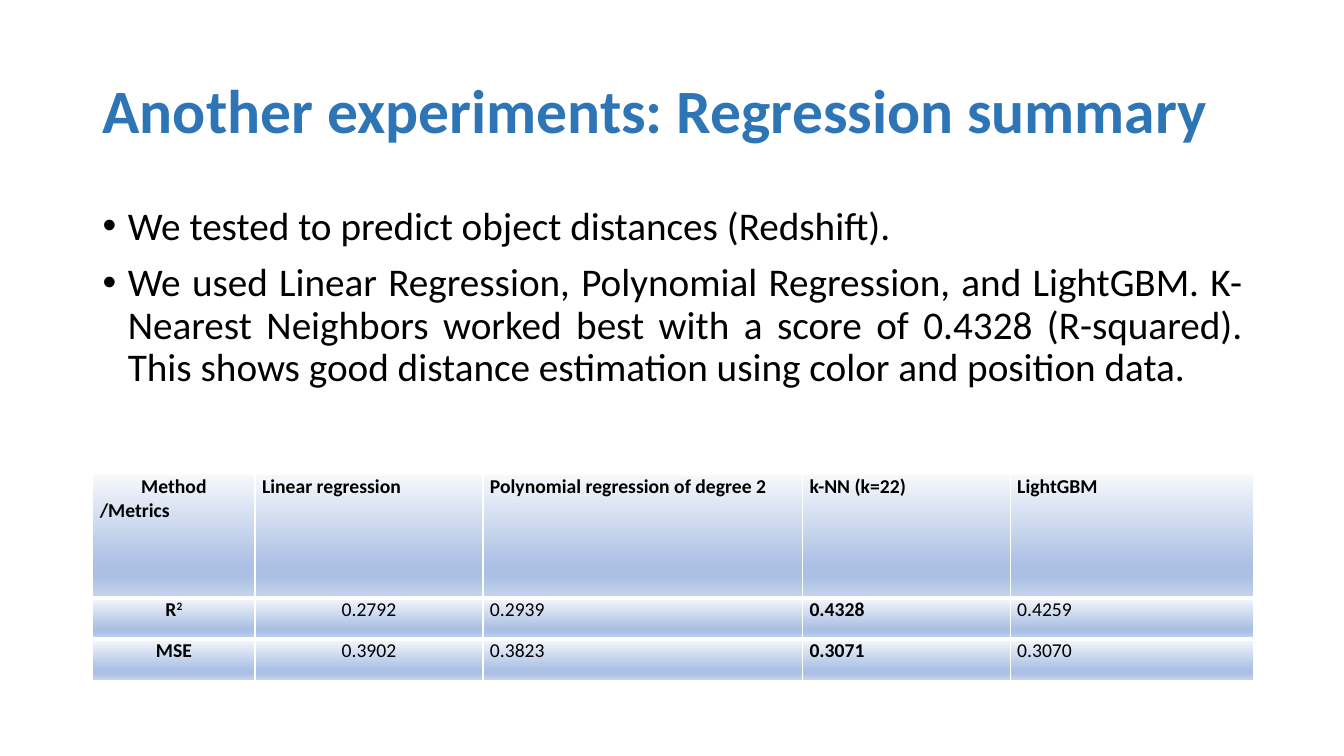
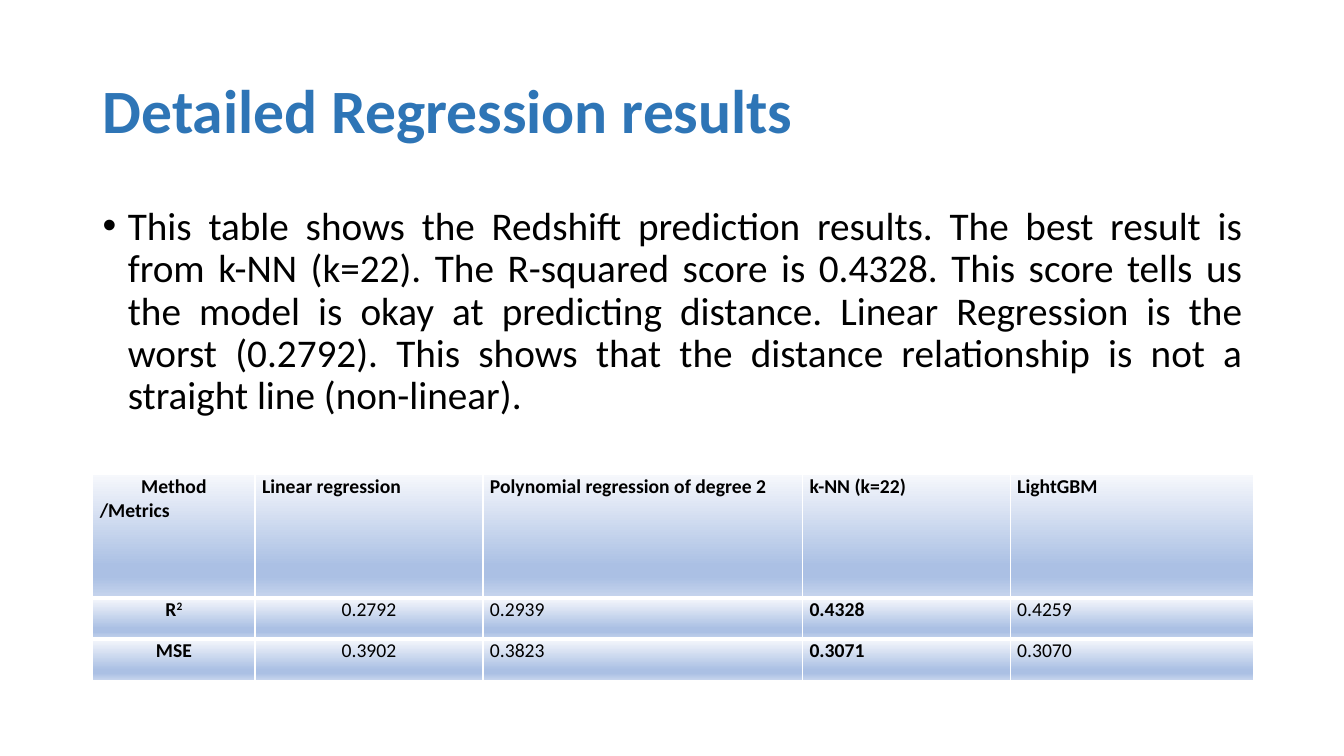
from lxml import etree
from pptx import Presentation
from pptx.dml.color import RGBColor
from pptx.enum.text import MSO_ANCHOR, PP_ALIGN
from pptx.oxml.ns import qn
from pptx.util import Inches, Pt

LEFT, CENTER, JUSTIFY = PP_ALIGN.LEFT, PP_ALIGN.CENTER, PP_ALIGN.JUSTIFY
MIDDLE = MSO_ANCHOR.MIDDLE

# Shared style
FONT = "Calibri"
TITLE_BLUE = RGBColor(0x2E, 0x75, 0xB6)
BLACK = RGBColor(0, 0, 0)
WHITE = RGBColor(0xFF, 0xFF, 0xFF)
CELL_GRADIENT = [
    (0, RGBColor(0xF6, 0xF8, 0xFC)),
    (74, RGBColor(0xAB, 0xC0, 0xE4)),
    (83, RGBColor(0xAB, 0xC0, 0xE4)),
    (100, RGBColor(0xC7, 0xD5, 0xED)),
]
MARGIN_LEFT, CONTENT_WIDTH = 0.92, 11.5
BULLET_INDENT = Inches(0.25)

# Results table: "^" starts a superscript, a line break starts a paragraph
RESULTS = [
    ["Method\n/Metrics", "Linear regression", "Polynomial regression of degree 2",
     "k-NN (k=22)", "LightGBM"],
    ["R^2", "0.2792", "0.2939", "0.4328", "0.4259"],
    ["MSE", "0.3902", "0.3823", "0.3071", "0.3070"],
]
COLUMN_WIDTHS = [1.61, 2.26, 3.17, 2.06, 2.41]
ROW_HEIGHTS = [1.22, 0.41, 0.41]
RULES_ABOVE_BELOW = [(1, 3), (3, 3), (3, 1)]
BEST_COLUMN = 3

SLIDES = [
    ("Another experiments: Regression summary", [
        "We tested to predict object distances (Redshift).",
        "We used Linear Regression, Polynomial Regression, and LightGBM. "
        "K-Nearest Neighbors worked best with a score of 0.4328 (R-squared). "
        "This shows good distance estimation using color and position data.",
    ]),
    ("Detailed Regression results", [
        "This table shows the Redshift prediction results. The best result is "
        "from k-NN (k=22). The R-squared score is 0.4328. This score tells us "
        "the model is okay at predicting distance. Linear Regression is the "
        "worst (0.2792). This shows that the distance relationship is not a "
        "straight line (non-linear).",
    ]),
]


def add_bullet(paragraph):
    properties = paragraph._p.get_or_add_pPr()
    properties.set("marL", str(BULLET_INDENT))
    properties.set("indent", str(-BULLET_INDENT))
    etree.SubElement(properties, qn("a:buFont"), typeface="Arial")
    etree.SubElement(properties, qn("a:buChar"), char="•")


def write(frame, text, *, size, color=BLACK, bold=False, align=LEFT,
          spacing=1.0, before=0, bullet=False, first=True):
    """Write one paragraph; text after "^" is superscript."""
    paragraph = frame.paragraphs[0] if first else frame.add_paragraph()
    if bullet:
        add_bullet(paragraph)
    paragraph.alignment = align
    paragraph.line_spacing = spacing
    paragraph.space_before = Pt(0 if first else before)
    for position, part in enumerate(text.split("^")):
        run = paragraph.add_run()
        run.text = part
        font = run.font
        font.name, font.size, font.bold = FONT, Pt(size), bold
        font.color.rgb = color
        if position:
            font._element.set("baseline", "30000")


def add_text_frame(slide, top, height):
    box = slide.shapes.add_textbox(Inches(MARGIN_LEFT), Inches(top),
                                   Inches(CONTENT_WIDTH), Inches(height))
    box.text_frame.word_wrap = True
    return box.text_frame


def add_title(slide, text):
    frame = add_text_frame(slide, 0.4, 1.45)
    frame.vertical_anchor = MIDDLE
    write(frame, text, size=44, color=TITLE_BLUE, bold=True, spacing=0.9)


def add_bullets(slide, bullets):
    frame = add_text_frame(slide, 2, 4.76)
    for index, text in enumerate(bullets):
        write(frame, text, size=28, align=JUSTIFY, spacing=0.9, before=10,
              bullet=True, first=index == 0)


def add_color(parent, color):
    etree.SubElement(parent, qn("a:srgbClr"), val=str(color))


def style_cell(cell, above, below):
    """Set margins, white rules and the vertical gradient."""
    cell.margin_left = cell.margin_right = Inches(0.07)
    cell.margin_top = cell.margin_bottom = 0
    properties = cell._tc.get_or_add_tcPr()
    for side, width in (("L", 1), ("R", 1), ("T", above), ("B", below)):
        rule = etree.SubElement(properties, qn(f"a:ln{side}"), w=str(Pt(width)))
        add_color(etree.SubElement(rule, qn("a:solidFill")), WHITE)
    gradient = etree.SubElement(properties, qn("a:gradFill"), rotWithShape="1")
    stops = etree.SubElement(gradient, qn("a:gsLst"))
    for percent, color in CELL_GRADIENT:
        add_color(etree.SubElement(stops, qn("a:gs"), pos=str(percent * 1000)), color)
    etree.SubElement(gradient, qn("a:lin"), ang="5400000", scaled="0")


def add_results_table(slide):
    table = slide.shapes.add_table(
        len(ROW_HEIGHTS), len(COLUMN_WIDTHS), Inches(MARGIN_LEFT), Inches(4.71),
        Inches(sum(COLUMN_WIDTHS)), Inches(sum(ROW_HEIGHTS))).table
    table.horz_banding = False
    for column, width in zip(table.columns, COLUMN_WIDTHS):
        column.width = Inches(width)
    for r, values in enumerate(RESULTS):
        table.rows[r].height = Inches(ROW_HEIGHTS[r])
        for c, value in enumerate(values):
            cell = table.cell(r, c)
            style_cell(cell, *RULES_ABOVE_BELOW[r])
            for index, line in enumerate(value.split("\n")):
                centered = c < 2 if r else c == 0 and index == 0
                write(cell.text_frame, line, size=14, first=index == 0,
                      bold=r == 0 or c in (0, BEST_COLUMN),
                      align=CENTER if centered else JUSTIFY)


def main():
    deck = Presentation()
    deck.slide_width, deck.slide_height = Inches(13.33), Inches(7.5)
    blank = deck.slide_layouts[6]
    for title, bullets in SLIDES:
        slide = deck.slides.add_slide(blank)
        add_title(slide, title)
        add_bullets(slide, bullets)
        add_results_table(slide)
    deck.save("out.pptx")


if __name__ == "__main__":
    main()
